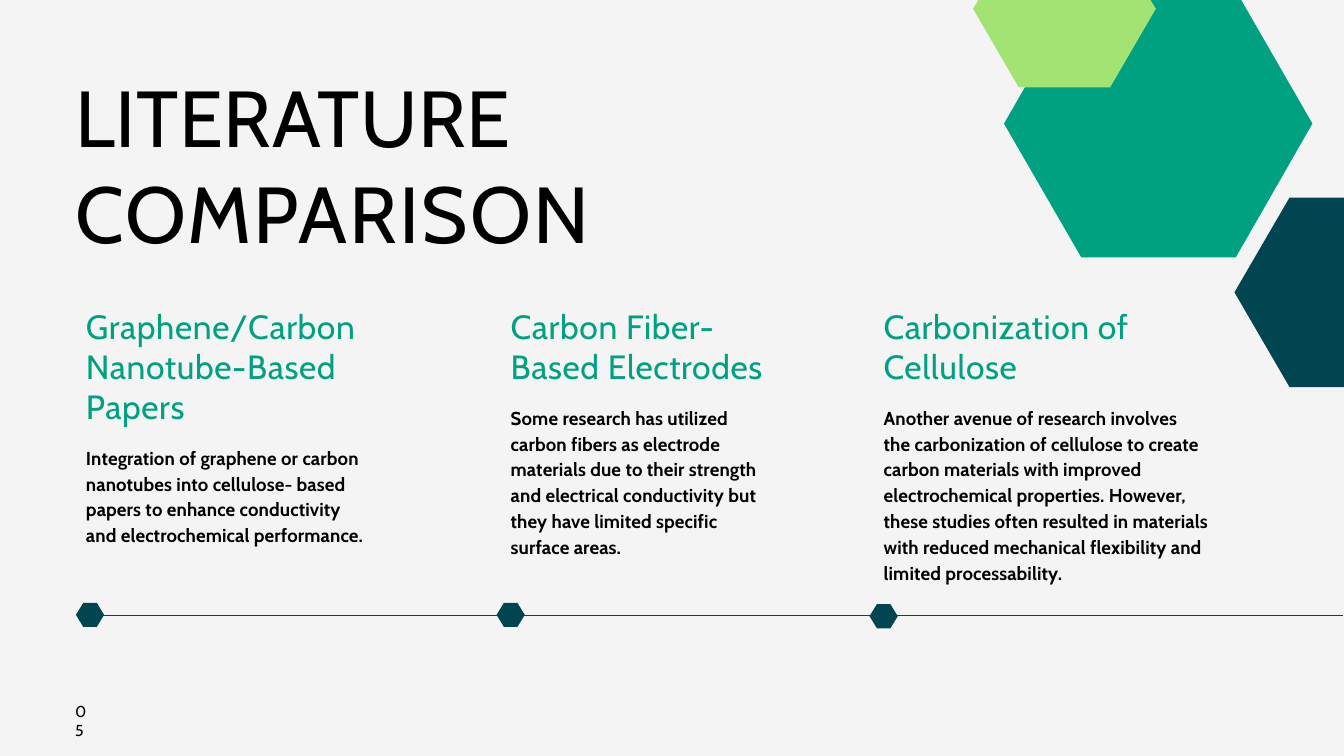
"""Build the literature comparison slide with its three-step timeline."""
from lxml.etree import SubElement
from pptx import Presentation
from pptx.dml.color import RGBColor
from pptx.enum.shapes import MSO_CONNECTOR as Line, MSO_SHAPE as Shape
from pptx.oxml.ns import qn
from pptx.util import Inches, Pt

PALE = RGBColor(0xF4, 0xF4, 0xF4)
BLACK = RGBColor(0, 0, 0)
TEAL = RGBColor(0x00, 0xA1, 0x81)
NAVY = RGBColor(0x00, 0x45, 0x50)
LIME = RGBColor(0xA3, 0xE3, 0x73)

TITLE = [("LITERATURE", 0.7), ("COMPARISON", 2.4)]
PAGE = "05"
STEPS = [
    (1.27, 4.24,
     ["Graphene/Carbon", "Nanotube-Based", "Papers"],
     ["Integration of graphene or carbon",
      "nanotubes into cellulose- based",
      "papers to enhance conductivity",
      "and electrochemical performance."]),
    (7.59, 3.96,
     ["Carbon Fiber-", "Based Electrodes"],
     ["Some research has utilized",
      "carbon fibers as electrode",
      "materials due to their strength",
      "and electrical conductivity but",
      "they have limited specific",
      "surface areas."]),
    (13.14, 4.86,
     ["Carbonization of", "Cellulose"],
     ["Another avenue of research involves",
      "the carbonization of cellulose to create",
      "carbon materials with improved",
      "electrochemical properties. However,",
      "these studies often resulted in materials",
      "with reduced mechanical flexibility and",
      "limited processability."]),
]
DOTS = [(1.34, 9.15), (7.6, 9.15), (13.15, 9.17)]
DOT = [(0.21, 0), (0.1, -0.18), (-0.1, -0.18), (-0.21, 0), (-0.1, 0.18),
       (0.1, 0.18)]
HEXES = [
    (NAVY, [(20, 5.76), (19.19, 5.76), (18.37, 4.35), (19.19, 2.94),
            (20, 2.94)]),
    (TEAL, [(18.39, 3.83), (16.09, 3.83), (14.94, 1.84), (16, 0),
            (18.47, 0), (19.53, 1.84)]),
    (LIME, [(16.52, 1.3), (15.16, 1.3), (14.48, 0.13), (14.56, 0),
            (17.12, 0), (17.2, 0.13)]),
]
HEAD = {"size": Pt(36), "color": TEAL, "bold": False}
BODY = {"size": Pt(20), "color": BLACK, "bold": True}
BIG = {"size": Pt(85), "color": BLACK, "bold": False}
SMALL = {"size": Pt(17), "color": BLACK, "bold": False}
HEAD_GAP = {"line_spacing": Pt(42.7), "space_before": Pt(2.8)}
BODY_GAP = {"line_spacing": 1.15, "space_before": Pt(18.5)}
TOP_GAP = {"space_before": Pt(1)}


def add_box(slide, x, y, w, h, top):
    box = slide.shapes.add_textbox(*map(Inches, (x, y, w, h)))
    frame = box.text_frame
    edges = {"margin_left": Inches(0.01), "margin_right": 0,
             "margin_top": Inches(top), "margin_bottom": 0, "word_wrap": True}
    for key, val in edges.items():
        setattr(frame, key, val)
    return frame


def fill_para(para, lines, style, gaps):
    for key, val in gaps.items():
        setattr(para, key, val)
    for i, (text, track) in enumerate(lines):
        if i:
            para.add_line_break()
        run = para.add_run()
        run.text = text
        font = run.font
        font.name = "Cabin"
        font.size, font.bold = style["size"], style["bold"]
        font.color.rgb = style["color"]
        font._element.set("spc", str(round(track * 100)))


def paint(shape, color):
    shape.shadow.inherit = False
    shape.fill.solid()
    shape.fill.fore_color.rgb = color
    shape.line.fill.background()


def add_line(slide, x1, x2, y):
    line = slide.shapes.add_connector(
        Line.STRAIGHT, *map(Inches, (x1, y, x2, y)))
    line.line.color.rgb = NAVY
    line.line.width = Pt(1.5)
    SubElement(line._element.spPr, qn("a:effectLst"))


def add_hexes(slide, color, loops):
    loops = [[(Inches(x), Inches(y)) for x, y in loop] for loop in loops]
    pen = slide.shapes.build_freeform(*loops[0][0])
    for i, loop in enumerate(loops):
        if i:
            pen.move_to(*loop[0])
        pen.add_line_segments(loop[1:], close=True)
    paint(pen.convert_to_shape(), color)


def add_step(slide, step):
    x, w, head, body = step
    frame = add_box(slide, x, 4.52, w, 4.1, 0.04)
    fill_para(frame.paragraphs[0], [(t, 0.7) for t in head], HEAD, HEAD_GAP)
    fill_para(frame.add_paragraph(), [(t, 0.1) for t in body], BODY, BODY_GAP)


def main():
    deck = Presentation()
    deck.slide_width, deck.slide_height = Inches(20), Inches(11.25)
    slide = deck.slides.add_slide(deck.slide_layouts[6])
    back = slide.shapes.add_shape(
        Shape.RECTANGLE, 0, 0, deck.slide_width, deck.slide_height)
    paint(back, PALE)
    add_line(slide, 1.4, 19.99, 9.16)
    add_hexes(slide, NAVY,
              [[(x + dx, y + dy) for dx, dy in DOT] for x, y in DOTS])
    for step in STEPS:
        add_step(slide, step)
    title = add_box(slide, 1.11, 1.01, 13.57, 2.83, 0.01)
    fill_para(title.paragraphs[0], TITLE, BIG, TOP_GAP)
    page = add_box(slide, 1.11, 10.43, 0.2, 0.6, 0.01)
    fill_para(page.paragraphs[0], [(PAGE, 0)], SMALL, TOP_GAP)
    for color, loop in HEXES:
        add_hexes(slide, color, [loop])
    deck.save("out.pptx")


if __name__ == "__main__":
    main()
